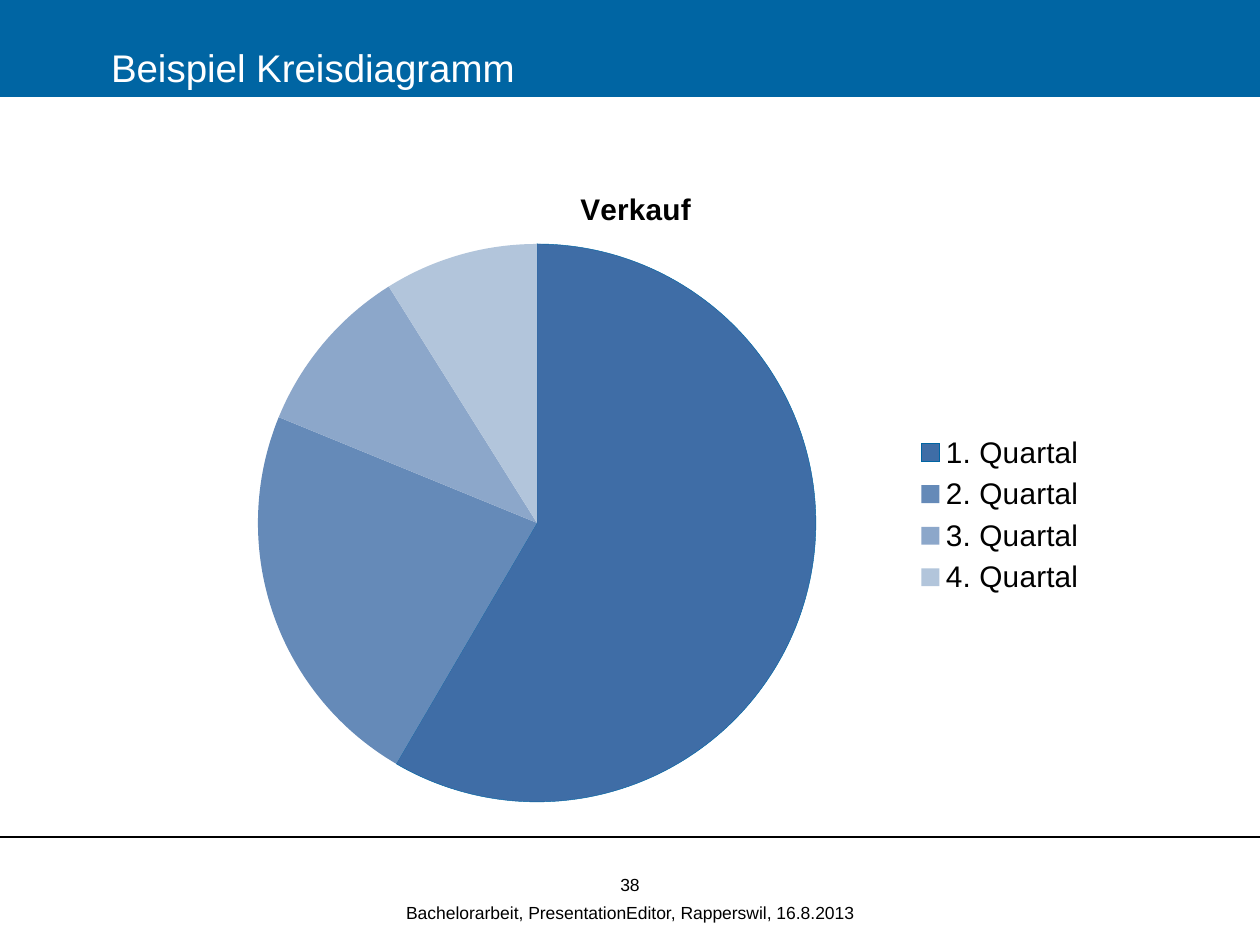
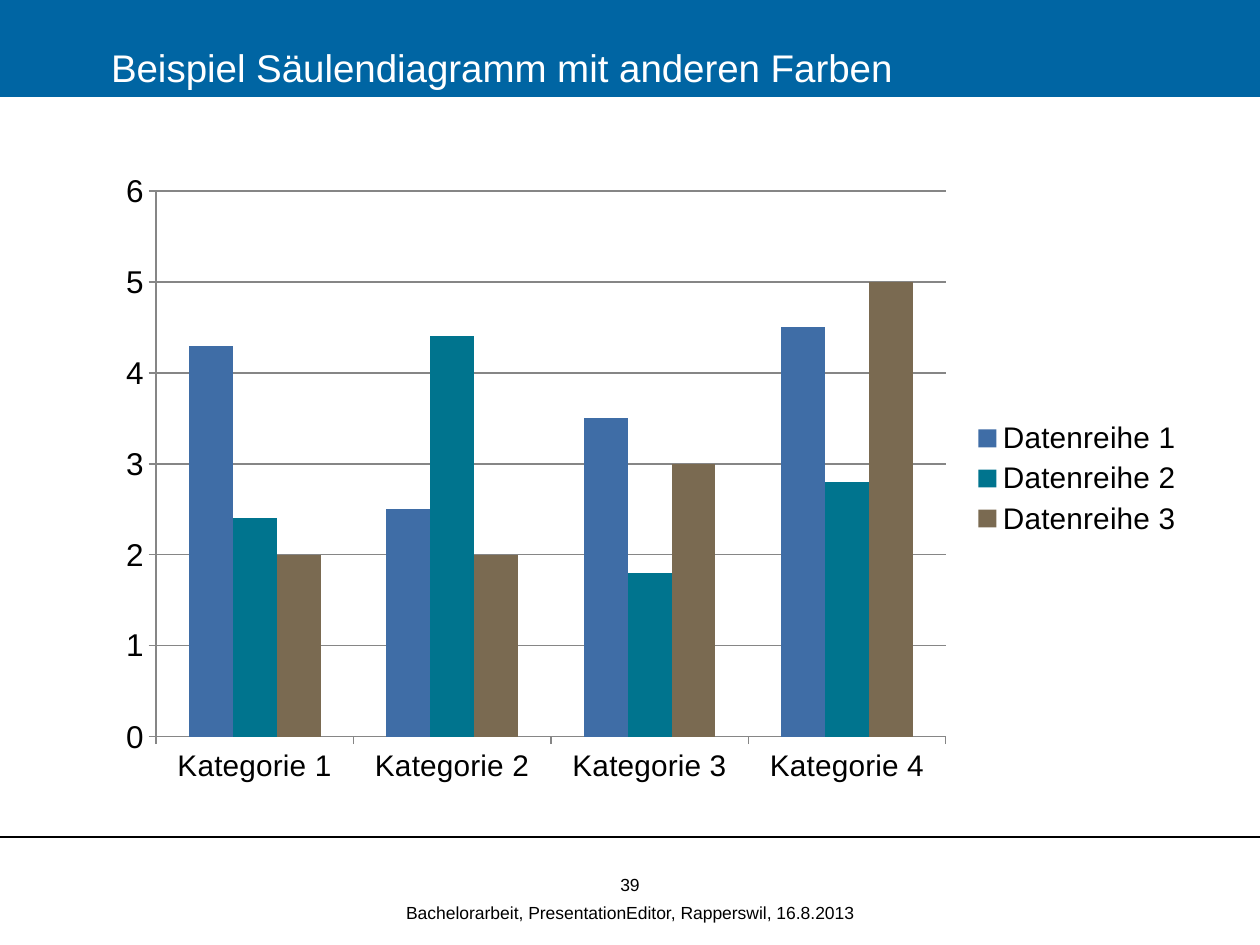
from lxml import etree
from pptx import Presentation
from pptx.chart.data import CategoryChartData
from pptx.dml.color import RGBColor
from pptx.enum.chart import XL_CHART_TYPE, XL_LEGEND_POSITION, XL_TICK_MARK
from pptx.enum.shapes import MSO_CONNECTOR
from pptx.enum.text import MSO_ANCHOR, MSO_AUTO_SIZE, PP_ALIGN
from pptx.oxml.ns import qn
from pptx.util import Pt

PIE, COLUMNS = XL_CHART_TYPE.PIE, XL_CHART_TYPE.COLUMN_CLUSTERED
LEGEND_RIGHT = XL_LEGEND_POSITION.RIGHT
TICK_OUTSIDE = XL_TICK_MARK.OUTSIDE
STRAIGHT = MSO_CONNECTOR.STRAIGHT
MIDDLE, NO_AUTOFIT = MSO_ANCHOR.MIDDLE, MSO_AUTO_SIZE.NONE
LEFT, CENTER = PP_ALIGN.LEFT, PP_ALIGN.CENTER

BLUE = RGBColor(0x00, 0x65, 0xA3)
WHITE = RGBColor(0xFF, 0xFF, 0xFF)
BLACK = RGBColor(0x00, 0x00, 0x00)
GRID_GREY = RGBColor(0x86, 0x86, 0x86)
STEEL = RGBColor(0x3F, 0x6D, 0xA6)
TEAL = RGBColor(0x00, 0x74, 0x8E)
BROWN = RGBColor(0x7A, 0x6A, 0x51)
PIE_COLORS = [STEEL, RGBColor(0x65, 0x8A, 0xB8), RGBColor(0x8C, 0xA7, 0xCA),
              RGBColor(0xB2, 0xC5, 0xDB)]
SERIES_COLORS = [STEEL, TEAL, BROWN]

FONT = "Arial"
EMU_PER_PX = 914400 / 126
PAGE_WIDTH, PAGE_HEIGHT = 1260, 945
TITLE_ONLY = 5
FOOTER = "Bachelorarbeit, PresentationEditor, Rapperswil, 16.8.2013"


def px(length):
    return round(length * EMU_PER_PX)


def style_font(font, size, color=BLACK, bold=False):
    font.name, font.size, font.bold = FONT, Pt(size), bold
    font.color.rgb = color


def write(frame, text, size, color=BLACK, align=CENTER, insets=(0, 0, 0, 0), indent=0):
    frame.word_wrap = True
    frame.auto_size = NO_AUTOFIT
    frame.vertical_anchor = MIDDLE
    (frame.margin_left, frame.margin_top,
     frame.margin_right, frame.margin_bottom) = map(px, insets)
    para = frame.paragraphs[0]
    para.alignment = align
    if indent:
        properties = para._p.get_or_add_pPr()
        properties.set("marL", str(px(indent)))
        properties.set("indent", "0")
    span = para.add_run()
    span.text = text
    style_font(span.font, size, color)


def place_part(chart, part, chart_box, part_box, sized=True):
    """Pin a chart part to a box given in slide px."""
    parent = chart.element.xpath(f"c:chart/c:{part}")[0]
    layout = parent.find(qn("c:layout"))
    if layout is None:
        layout = etree.Element(qn("c:layout"))
        parent.insert(0 if part == "plotArea" else 1, layout)
    manual = etree.SubElement(layout, qn("c:manualLayout"))
    left, top, width, height = chart_box
    settings = [("xMode", "edge"), ("yMode", "edge"),
                ("x", (part_box[0] - left) / width),
                ("y", (part_box[1] - top) / height)]
    if part == "plotArea":
        settings.insert(0, ("layoutTarget", "inner"))
    if sized:
        settings += [("w", part_box[2] / width), ("h", part_box[3] / height)]
    for name, value in settings:
        text = value if isinstance(value, str) else f"{value:.4f}"
        etree.SubElement(manual, qn(f"c:{name}")).set("val", text)


class SlideBuilder:
    def __init__(self):
        self.deck = Presentation()
        self.deck.slide_width, self.deck.slide_height = px(PAGE_WIDTH), px(PAGE_HEIGHT)
        self.page = None

    def add_page(self, title, number):
        self.page = self.deck.slides.add_slide(self.deck.slide_layouts[TITLE_ONLY])
        self.add_line(837)
        self.add_title(title)
        self.add_text(FOOTER, 347, 895, 566, 35)
        self.add_text(str(number), 347, 876, 566, 16)

    def add_line(self, y):
        line = self.page.shapes.add_connector(STRAIGHT, 0, px(y), px(PAGE_WIDTH), px(y))
        line.line.color.rgb = BLACK
        line.line.width = Pt(0.75)
        etree.SubElement(line._element.spPr, qn("a:effectLst"))

    def add_title(self, text):
        band = self.page.shapes.title
        band.left, band.top, band.width, band.height = 0, 0, px(PAGE_WIDTH), px(97)
        band.fill.solid()
        band.fill.fore_color.rgb = BLUE
        write(band.text_frame, text, 22, WHITE, LEFT, insets=(13, 44, 13, 6), indent=98)

    def add_text(self, text, *box, size=10):
        label = self.page.shapes.add_textbox(*map(px, box))
        write(label.text_frame, text, size)

    def add_chart(self, kind, categories, series, box, plot_box):
        data = CategoryChartData()
        data.categories = categories
        for name, values in series.items():
            data.add_series(name, values)
        chart = self.page.shapes.add_chart(kind, *map(px, box), data).chart
        style_font(chart.font, 18)
        chart.has_title = False
        chart.has_legend = True
        chart.legend.position = LEGEND_RIGHT
        chart.legend.include_in_layout = False
        style_font(chart.legend.font, 17)
        place_part(chart, "plotArea", box, plot_box)
        return chart

    def add_pie(self, title, categories, values, box, plot_box, legend_box, title_box):
        chart = self.add_chart(PIE, categories, {title: values}, box, plot_box)
        chart.has_title = True
        frame = chart.chart_title.text_frame
        frame.text = title
        style_font(frame.paragraphs[0].runs[0].font, 17, bold=True)
        place_part(chart, "title", box, title_box, sized=False)
        place_part(chart, "legend", box, legend_box)
        chart.plots[0].vary_by_categories = True
        slices = chart.plots[0].series[0].points
        for index, color in enumerate(PIE_COLORS):
            fill = slices[index].format.fill
            fill.solid()
            fill.fore_color.rgb = color
        outline = slices[0].format.line
        outline.color.rgb = BLUE
        outline.width = Pt(0.25)

    def add_columns(self, categories, series, box, plot_box):
        chart = self.add_chart(COLUMNS, categories, series, box, plot_box)
        plot = chart.plots[0]
        plot.vary_by_categories = False
        plot.gap_width = 150
        for bars, color in zip(plot.series, SERIES_COLORS):
            bars.format.fill.solid()
            bars.format.fill.fore_color.rgb = color
        value_axis = chart.value_axis
        value_axis.minimum_scale, value_axis.maximum_scale = 0, 6
        value_axis.major_unit = 1
        value_axis.has_major_gridlines = True
        for axis, size in ((chart.category_axis, 17), (value_axis, 18)):
            axis.major_tick_mark = TICK_OUTSIDE
            style_font(axis.tick_labels.font, size)
        for part in (chart.category_axis, value_axis, value_axis.major_gridlines):
            part.format.line.color.rgb = GRID_GREY
            part.format.line.width = Pt(0.75)


def main():
    builder = SlideBuilder()

    builder.add_page("Beispiel Kreisdiagramm", 38)
    builder.add_pie("Verkauf", [f"{quarter}. Quartal" for quarter in range(1, 5)],
                    [59, 23, 10, 9],
                    box=(64, 155, 1131, 665), plot_box=(258, 244, 558, 558),
                    legend_box=(912, 428, 176, 174), title_box=(575, 184))

    builder.add_page("Beispiel Säulendiagramm mit anderen Farben", 39)
    builder.add_columns([f"Kategorie {index}" for index in range(1, 5)],
                        {"Datenreihe 1": [4.3, 2.5, 3.5, 4.5],
                         "Datenreihe 2": [2.4, 4.4, 1.8, 2.8],
                         "Datenreihe 3": [2, 2, 3, 5]},
                        box=(105, 161, 1091, 635), plot_box=(156, 191, 790, 546))

    builder.deck.save("out.pptx")


if __name__ == "__main__":
    main()
